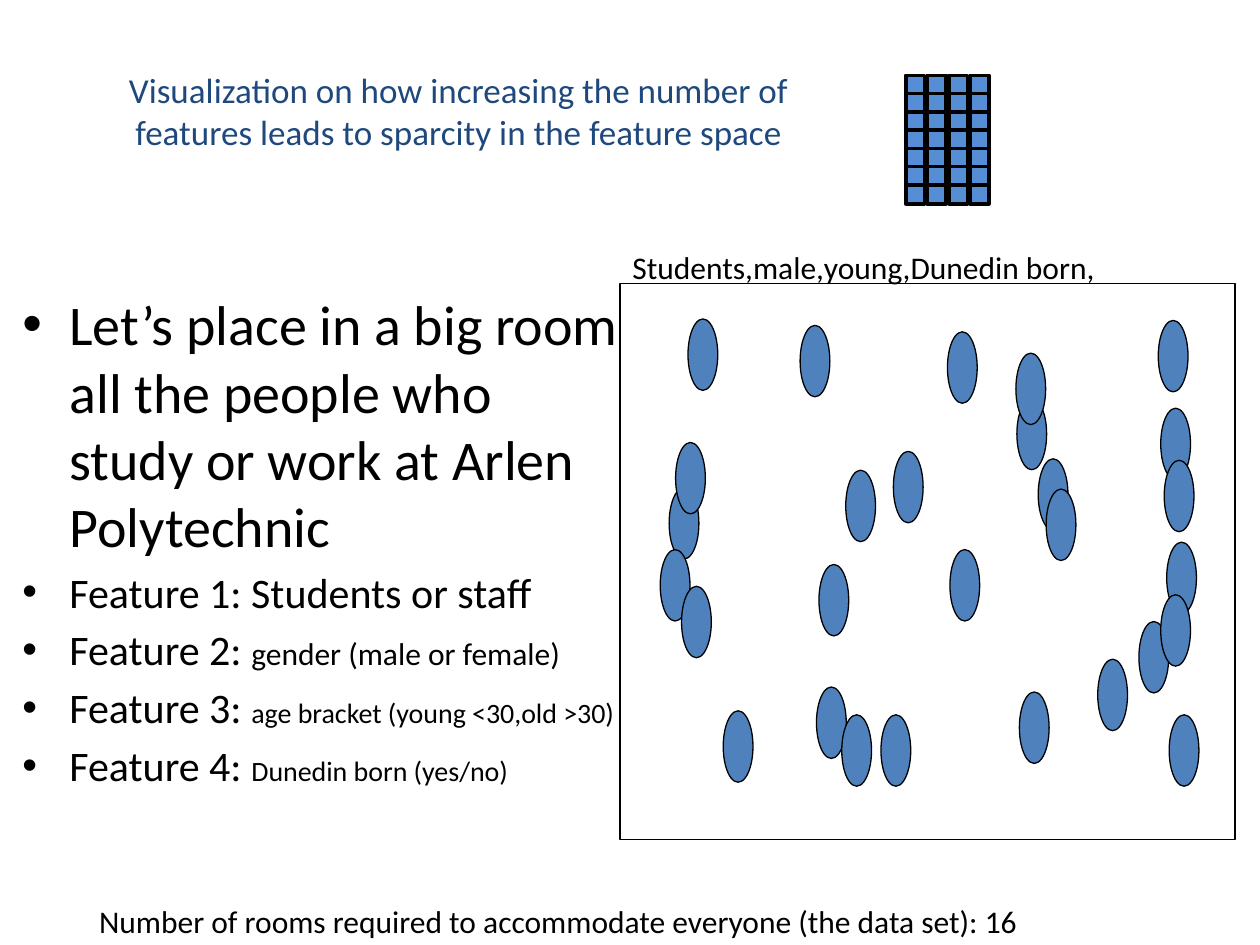
from itertools import product
from pptx import Presentation
from pptx.dml.color import RGBColor
from pptx.enum.shapes import MSO_SHAPE
from pptx.enum.text import MSO_ANCHOR, MSO_AUTO_SIZE, PP_ALIGN
from pptx.oxml.xmlchemy import OxmlElement
from pptx.util import Cm, Pt

FONT = "Calibri"
PEOPLE = [
    (6.6, 0.97), (9.63, 7.57), (10.46, 6.81), (5.51, 3.38), (0.99, 4.11),
    (4.55, 3.76), (3.96, 8.13), (8.0, 2.31), (4.01, 5.66), (6.65, 5.36),
    (11.02, 5.21), (10.9, 6.27), (7.98, 1.4), (10.85, 0.74), (11.07, 8.69),
    (5.26, 8.69), (8.05, 8.23), (3.63, 0.84), (1.37, 0.71), (2.08, 8.61),
    (0.81, 5.36), (4.47, 8.69), (10.9, 2.51), (8.43, 3.53), (10.97, 3.56),
    (1.12, 3.2), (8.59, 4.14), (1.24, 6.1),
]
FEATURES = [
    [("Let’s place in a big room all the people who study or work at Arlen Polytechnic", 32)],
    [("Feature 1: Students or staff", 24)],
    [("Feature 2: ", 24), ("gender (male or female)", 18)],
    [("Feature 3: ", 24), ("age bracket (young <30,old >30)", 16)],
    [("Feature 4: ", 24), ("Dunedin born (yes/no)", 16)],
]


def color(value):
    """Turn a hex string into a colour."""
    return RGBColor.from_string(value)


def add_run(paragraph, text, size, hex_color="000000"):
    """Append formatted text to a paragraph."""
    run = paragraph.add_run()
    run.text = text
    for name, value in {"name": FONT, "size": Pt(size)}.items():
        setattr(run.font, name, value)
    run.font.color.rgb = color(hex_color)


def add_figure(slide, kind, box, fill, line_width):
    """Draw a black-outlined shape, unfilled when fill is None."""
    shape = slide.shapes.add_shape(kind, *map(Cm, box))
    shape.shadow.inherit = False
    if fill:
        shape.fill.solid()
        shape.fill.fore_color.rgb = color(fill)
    else:
        shape.fill.background()
    shape.line.color.rgb = color("000000")
    shape.line.width = Pt(line_width)


def add_title(slide, box):
    """Place and format the title placeholder."""
    title = slide.shapes.title
    for name, value in zip(("left", "top", "width", "height"), box):
        setattr(title, name, Cm(value))
    frame = title.text_frame
    settings = {"word_wrap": True, "auto_size": MSO_AUTO_SIZE.NONE,
                "vertical_anchor": MSO_ANCHOR.MIDDLE}
    for name, value in settings.items():
        setattr(frame, name, value)
    paragraph = frame.paragraphs[0]
    paragraph.alignment = PP_ALIGN.CENTER
    add_run(paragraph, "Visualization on how increasing the number of features "
            "leads to sparcity in the feature space", 20, "1F497D")


def add_text_frame(slide, box):
    """Add a wrapping text box and return its frame."""
    frame = slide.shapes.add_textbox(*map(Cm, box)).text_frame
    frame.word_wrap = True
    return frame


def add_caption(slide, box, text):
    """Add a one-line caption."""
    add_run(add_text_frame(slide, box).paragraphs[0], text, 18)


def add_people(slide, box):
    """Scatter the people over the room."""
    left, top = box[:2]
    for x, y in PEOPLE:
        add_figure(slide, MSO_SHAPE.OVAL, (left + x, top + y, 0.6, 1.44), "4F81BD", 0.75)


def add_building(slide, box, columns=4, rows=7):
    """Fill the box with a grid of small rooms."""
    left, top, width, height = box
    side = 0.38
    column_step = (width - side) / (columns - 1)
    row_step = (height - side) / (rows - 1)
    for column, row in product(range(columns), range(rows)):
        cell = (left + column * column_step, top + row * row_step, side, side)
        add_figure(slide, MSO_SHAPE.RECTANGLE, cell, "558ED5", 2)


def add_features(slide, box):
    """List the features as bullets."""
    frame = add_text_frame(slide, box)
    for index, runs in enumerate(FEATURES):
        paragraph = frame.add_paragraph() if index else frame.paragraphs[0]
        paragraph.space_before = Pt(4.2 if index else 6.4)
        properties = paragraph._p.get_or_add_pPr()
        for name, value in {"marL": Cm(0.95), "indent": -Cm(0.95)}.items():
            properties.set(name, str(value))
        for tag, name, value in (("a:buFont", "typeface", "Arial"), ("a:buChar", "char", "•")):
            element = OxmlElement(tag)
            element.set(name, value)
            properties.append(element)
        for text, size in runs:
            add_run(paragraph, text, size)


def main():
    """Build and save the slide."""
    presentation = Presentation()
    presentation.slide_width, presentation.slide_height = Cm(25.4), Cm(19.05)
    slide = presentation.slides.add_slide(presentation.slide_layouts[5])
    room = (12.5, 5.72, 12.4, 11.2)
    add_people(slide, room)
    add_title(slide, (1.27, 1.32, 15.95, 1.8))
    add_building(slide, (18.26, 1.52, 1.68, 2.59))
    add_caption(slide, (1.75, 18.06, 22.3, 1.02),
                "Number of rooms required to accommodate everyone (the data set): 16")
    add_figure(slide, MSO_SHAPE.RECTANGLE, room, None, 0.75)
    add_features(slide, (0.2, 5.72, 12.67, 11.2))
    add_caption(slide, (12.5, 4.88, 12.07, 1.02), "Students,male,young,Dunedin born,")
    presentation.save("out.pptx")


if __name__ == "__main__":
    main()
